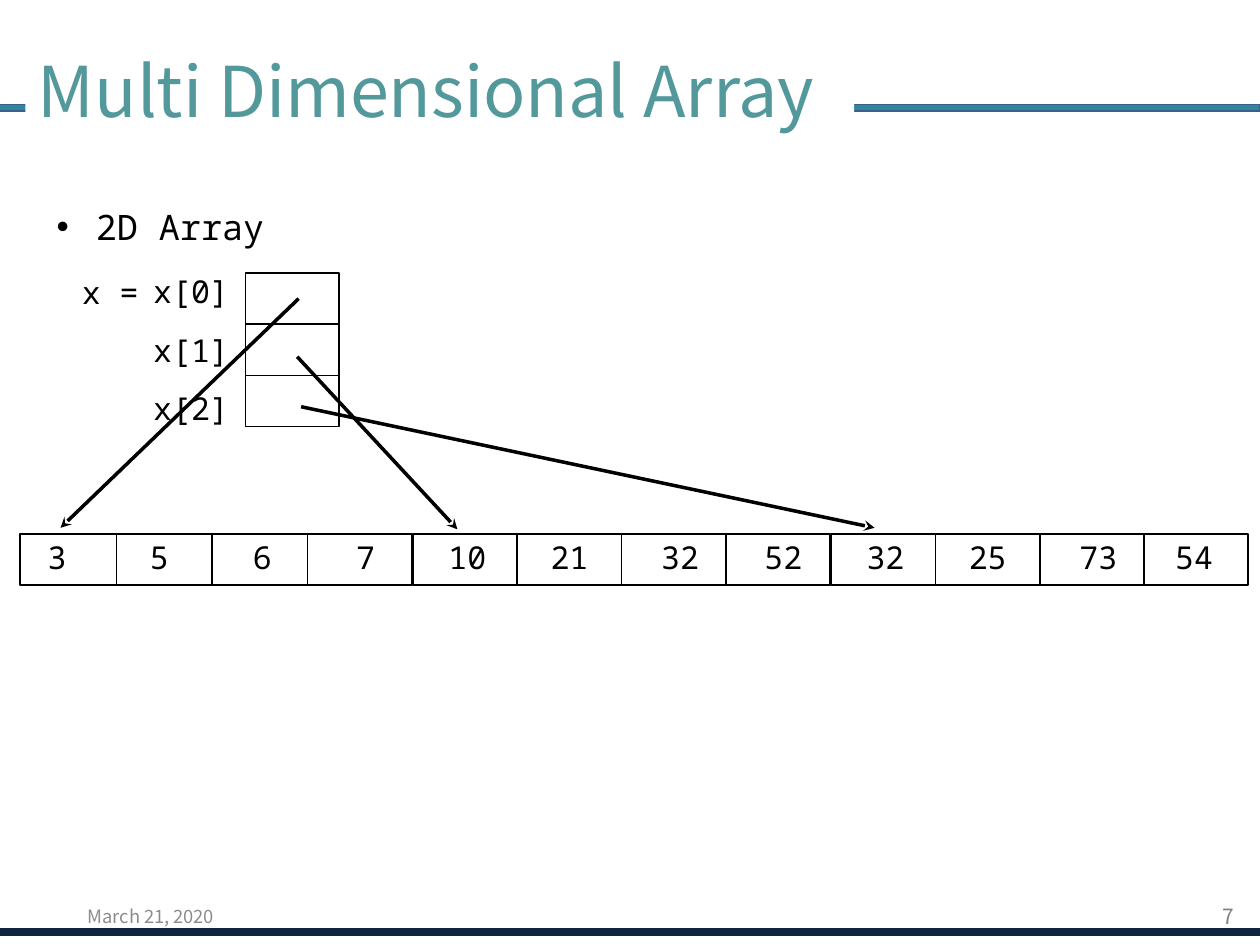
import pptx
import pptx.util
import pptx.dml.color
import pptx.enum.shapes
import pptx.enum.text
import pptx.oxml
import pptx.oxml.ns

Cm, Pt = pptx.util.Cm, pptx.util.Pt
RGB = pptx.dml.color.RGBColor
KIND = pptx.enum.shapes.MSO_SHAPE.RECTANGLE
LINK = pptx.enum.shapes.MSO_CONNECTOR.STRAIGHT
ALIGN = pptx.enum.text.PP_ALIGN
ANCHOR = pptx.enum.text.MSO_ANCHOR
SIZING = pptx.enum.text.MSO_AUTO_SIZE

BLACK, WHITE = RGB(0, 0, 0), RGB(255, 255, 255)
TEAL, NAVY = RGB(0x53, 0x99, 0x9C), RGB(0x0F, 0x24, 0x3E)
BLUE, EDGE = RGB(0x31, 0x85, 0x9C), RGB(0x3A, 0x5F, 0x8C)
GRAY, SILVER = RGB(0x80, 0x80, 0x80), RGB(0x8C, 0x8C, 0x8C)
SANS, MONO = "Noto Sans CJK KR", "Noto Sans Mono"

# Content; all lengths in centimetres
TITLE = "Multi Dimensional Array"
TOPIC = "2D Array"
LABELS = [("x[0]", 2.84, 5.36), ("x[1]", 2.84, 6.55), ("x[2]", 2.84, 7.72),
          ("x =", 1.4, 5.38)]
ROWS = [  # left edge, cell widths, (value, left of its text)
    (0.41, [1.94, 1.92, 1.93, 2.11],
     [("3", 0.71), ("5", 2.77), ("6", 4.85), ("7", 6.93)]),
    (8.33, [2.1] * 4,
     [("10", 8.79), ("21", 10.85), ("32", 13.08), ("52", 15.16)]),
    (16.76, [2.1] * 4,
     [("32", 17.22), ("25", 19.28), ("73", 21.51), ("54", 23.44)]),
]
ARROWS = [(6.02, 6.02, 1.22, 10.64), (5.99, 7.19, 9.22, 10.67),
          (6.07, 8.2, 17.63, 10.64)]
BARS = [(0, 18.75, 25.45, 0.08, NAVY, NAVY, 2),
        (-0.08, 2.11, 25.48, 0.13, BLUE, EDGE, 0)]
FOOTER = [("March 21, 2020", 1.52, 10.5, SILVER, ALIGN.LEFT),
          ("7", 19.2, 12, GRAY, ALIGN.RIGHT)]


def style(shape, text, face, size, color, align=ALIGN.LEFT, **frame):
    block = shape.text_frame
    block.text = text
    para = block.paragraphs[0]
    para.alignment = align
    for name, value in frame.items():
        setattr(block, name, value)
    for name, value in {"name": face, "size": Pt(size)}.items():
        setattr(para.font, name, value)
    para.font.color.rgb = color
    return para


def place(shape, *box):
    names = ("left", "top", "width", "height")
    for name, value in zip(names, box):
        setattr(shape, name, Cm(value))


def rect(x, y, w, h, fill=None, line=BLACK, weight=1):
    shape = slide.shapes.add_shape(KIND, Cm(x), Cm(y), Cm(w), Cm(h))
    shape.shadow.inherit = False
    if fill is None:
        shape.fill.background()
    else:
        shape.fill.solid()
        shape.fill.fore_color.rgb = fill
    shape.line.color.rgb = line
    shape.line.width = Pt(weight)
    return shape


def label(text, x, y, w, h, *font, **frame):
    box = slide.shapes.add_textbox(Cm(x), Cm(y), Cm(w), Cm(h))
    style(box, text, *font, **frame)


def arrow(*ends):
    link = slide.shapes.add_connector(LINK, *map(Cm, ends))
    link.line.color.rgb = BLACK
    link.line.width = Pt(2)
    tip = pptx.oxml.ns.qn("a:tailEnd")
    link.line._get_or_add_ln().makeelement(tip)
    link.line._get_or_add_ln().append(
        link.element.makeelement(tip, {"type": "stealth"}))
    link.element.spPr.append(
        link.element.makeelement(pptx.oxml.ns.qn("a:effectLst")))


deck = pptx.Presentation()
deck.slide_width, deck.slide_height = Cm(25.4), Cm(19.05)
slide = deck.slides.add_slide(deck.slide_layouts[1])
title, body = slide.placeholders

place(title, 0.51, 0.84, 16.71, 1.93)
title.fill.solid()
title.fill.fore_color.rgb = WHITE
style(title, TITLE, SANS, 40, TEAL, vertical_anchor=ANCHOR.MIDDLE,
      auto_size=SIZING.NONE, word_wrap=True)

place(body, 0.89, 4.01, 23.6, 13.69)
topic = style(body, TOPIC, MONO, 20, BLACK, auto_size=SIZING.NONE)
props = topic._p.get_or_add_pPr()
for name, value in {"marL": Cm(0.79), "indent": -Cm(0.79)}.items():
    props.set(name, str(int(value)))

for bar in BARS:
    title.element.addprevious(rect(*bar).element)

for text, x, size, color, align in FOOTER:
    label(text, x, 17.96, 5.92, 1.02, SANS, size, color, align,
          vertical_anchor=ANCHOR.MIDDLE, word_wrap=True)

for i in range(3):
    rect(4.95, 5.51 + 1.03 * i, 1.88, 1.03)
for ends in ARROWS:
    arrow(*ends)

for left, widths, values in ROWS:
    for width in widths:
        rect(left, 10.77, width, 1.02)
        left += width
    for text, x in values:
        label(text, x, 10.72, 0.53 + 0.38 * len(text), 1.12, MONO, 18, BLACK,
              word_wrap=False)

for text, x, y in LABELS:
    label(text, x, y, 2.11, 1.12, MONO, 18, BLACK, word_wrap=True)

deck.save("out.pptx")
